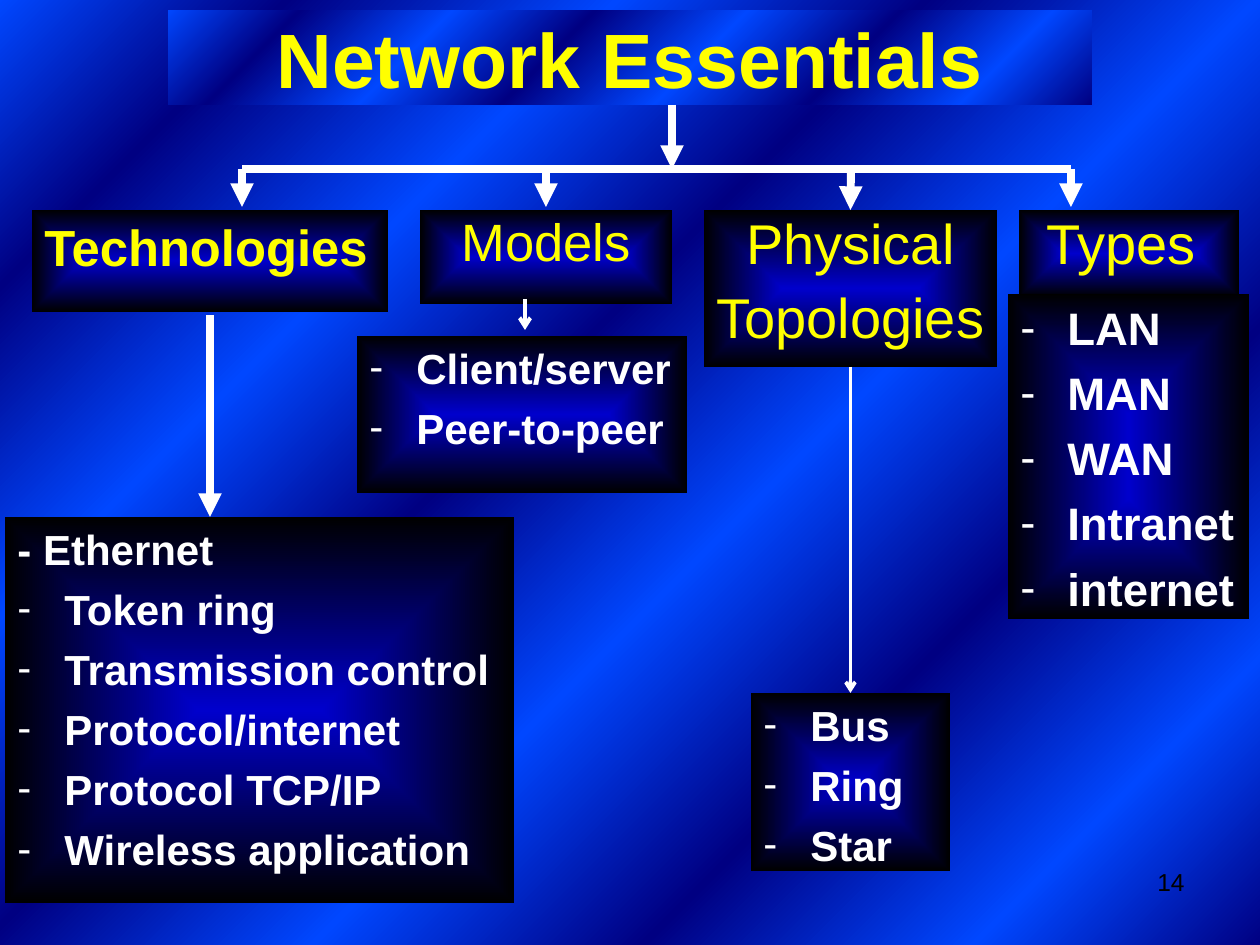
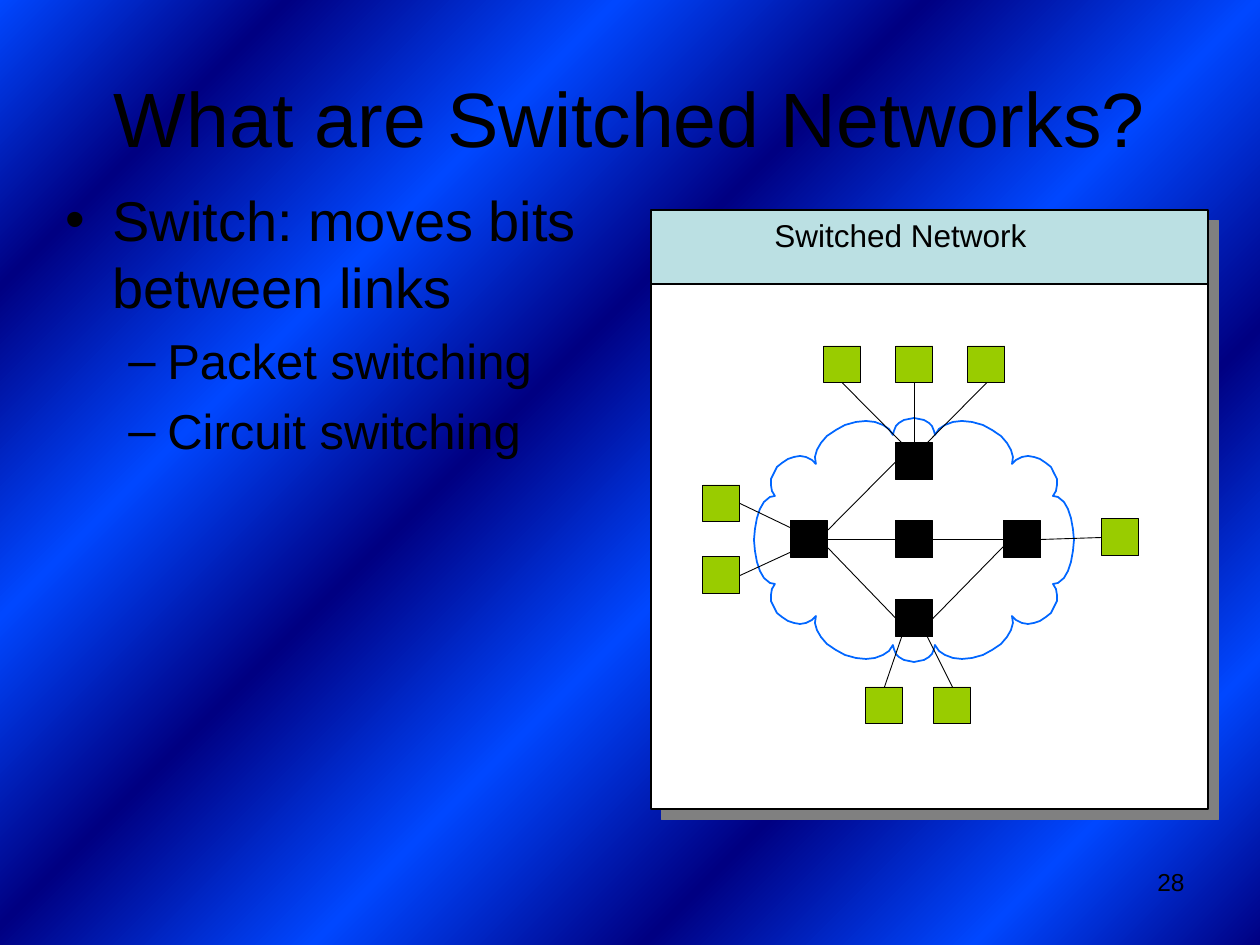
from math import cos, hypot, pi, sin

from lxml import etree
from pptx import Presentation
from pptx.dml.color import RGBColor
from pptx.enum.shapes import MSO_CONNECTOR, MSO_SHAPE
from pptx.enum.text import MSO_ANCHOR, MSO_AUTO_SIZE, PP_ALIGN
from pptx.oxml.ns import qn
from pptx.util import Inches, Pt

PX = 7257  # EMU per px, at 126 px to the inch
FONT = "Arial"
COLOURS = {
    "navy": "000082", "azure": "0047FF", "glow": "0000CC", "black": "000000",
    "white": "FFFFFF", "yellow": "FFFF00", "header": "BBE0E3", "host": "99CC00",
    "cloud": "0066FF", "shadow": "808080",
}
RGB = {name: RGBColor.from_string(value) for name, value in COLOURS.items()}

WAVES = list(zip((0, 13, 28, 43, 58, 72, 87, 100), ("navy", "azure") * 4))
GLOW = [(0, "glow"), (100, "black")]


def write(frame, lines, size, colour="black", bold=False, align=PP_ALIGN.LEFT,
          bullet=None, margin=47, hang=47, level=0, spacing=None):
    """Append lines to a frame; a line that already shows its bullet gets none."""
    for line in lines:
        first = not frame.text
        paragraph = frame.paragraphs[0] if first else frame.add_paragraph()
        if bullet:
            props = paragraph._p.get_or_add_pPr()
            props.set("marL", str(margin * PX))
            props.set("indent", str(-hang * PX))
            if not line.startswith(bullet):
                etree.SubElement(props, qn("a:buFont"), typeface=FONT)
                etree.SubElement(props, qn("a:buChar"), char=bullet)
        paragraph.level = level
        paragraph.alignment = align
        paragraph.space_before = Pt(0 if first else round(size * 0.23, 1))
        if spacing:
            paragraph.line_spacing = spacing
        run = paragraph.add_run()
        run.text = line
        run.font.name = FONT
        run.font.size = Pt(size)
        run.font.bold = bold
        run.font.color.rgb = RGB[colour]


def pour_gradient(owner, fill, stops, shape, focus):
    """Fill owner with a path gradient that starts from the focus rectangle."""
    fill.solid()
    solid = owner.find(".//" + qn("a:solidFill"))
    gradient = etree.Element(qn("a:gradFill"), rotWithShape="1")
    stop_list = etree.SubElement(gradient, qn("a:gsLst"))
    for position, colour in stops:
        stop = etree.SubElement(stop_list, qn("a:gs"), pos=str(position * 1000))
        etree.SubElement(stop, qn("a:srgbClr"), val=COLOURS[colour])
    route = etree.SubElement(gradient, qn("a:path"), path=shape)
    edges = {side: str(share * 1000) for side, share in zip("ltrb", focus)}
    etree.SubElement(route, qn("a:fillToRect"), **edges)
    solid.getparent().replace(solid, gradient)


# Shared by both slides: background, title, page number
prs = Presentation()
prs.slide_width, prs.slide_height = Inches(10), Inches(7.5)
master = prs.slide_master
pour_gradient(master.element, master.background.fill, WAVES, "circle", (100, 100, 0, 0))

slides = []
for heading, place, colour, bold, page in [
    ("Network Essentials", (168, 10, 924, 95), "yellow", True, "14"),
    ("What are Switched Networks?", (63, 38, 1134, 157), "black", False, "28"),
]:
    slide = prs.slides.add_slide(prs.slide_layouts[5])
    slides.append(slide)
    title = slide.shapes.title
    title.left, title.top, title.width, title.height = [v * PX for v in place]
    title.text_frame.auto_size = MSO_AUTO_SIZE.NONE
    title.text_frame.vertical_anchor = MSO_ANCHOR.MIDDLE
    write(title.text_frame, [heading], 44, colour, bold, PP_ALIGN.CENTER)
    number = slide.shapes.add_textbox(*[v * PX for v in (903, 861, 294, 66)])
    number.text_frame.word_wrap = True
    write(number.text_frame, [page], 14, align=PP_ALIGN.RIGHT)
essentials, switched = slides

# Slide 1: topic boxes and their lists
banner = essentials.shapes.title
pour_gradient(banner._element, banner.fill, WAVES, "circle", (100, 100, 0, 0))

heading_style = dict(colour="yellow", align=PP_ALIGN.CENTER, spacing=0.9)
list_style = dict(colour="white", bold=True, bullet="-")
topics = {}
for topic, place, lines, size, style in [
    ("technologies", (32, 210, 356, 102), ["Technologies"], 29,
     dict(colour="yellow", bold=True)),
    ("models", (420, 210, 252, 94), ["Models"], 30, heading_style),
    ("types", (1019, 210, 220, 87), ["Types "], 32, heading_style),
    ("topologies", (704, 210, 293, 157), ["Physical", "Topologies "], 32, heading_style),
    ("technology list", (5, 517, 509, 386),
     ["- Ethernet", "Token ring", "Transmission control", "Protocol/internet",
      "Protocol TCP/IP", "Wireless application"], 24, list_style),
    ("model list", (357, 336, 330, 157), ["Client/server", "Peer-to-peer"], 24, list_style),
    ("type list", (1008, 294, 241, 325),
     ["LAN", "MAN", "WAN", "Intranet", "internet"], 26, list_style),
    ("topology list", (751, 693, 199, 178), ["Bus", "Ring", "Star"], 24, list_style),
]:
    box = essentials.shapes.add_shape(MSO_SHAPE.RECTANGLE, *[v * PX for v in place])
    box.shadow.inherit = False
    box.line.fill.background()
    pour_gradient(box._element, box.fill, GLOW, "shape", (50, 50, 50, 50))
    box.text_frame.vertical_anchor = MSO_ANCHOR.TOP
    box.text_frame.word_wrap = True
    write(box.text_frame, lines, size, **style)
    topics[topic] = box

# Slide 2: bullet text and the panel
body = switched.shapes.add_textbox(*[v * PX for v in (53, 179, 577, 672)]).text_frame
body.word_wrap = True
write(body, ["Switch: moves bits between links"], 32, bullet="•")
write(body, ["Packet switching", "Circuit switching"], 28,
      bullet="–", margin=102, hang=39, level=1)

for top, colour in [(210, "header"), (284, "white")]:
    panel = switched.shapes.add_shape(
        MSO_SHAPE.RECTANGLE, 651 * PX, top * PX, 557 * PX, 525 * PX)
    panel.fill.solid()
    panel.fill.fore_color.rgb = RGB[colour]
    panel.line.color.rgb = RGB["black"]
    panel.line.width = Pt(0.75)
    panel.shadow.inherit = False
    effects = panel._element.spPr.find(qn("a:effectLst"))
    drop = etree.SubElement(effects, qn("a:outerShdw"), dist=str(Pt(8.5)),
                            dir=str(45 * 60000), algn="ctr", rotWithShape="0")
    etree.SubElement(drop, qn("a:srgbClr"), val=COLOURS["shadow"])

caption = switched.shapes.add_textbox(*[v * PX for v in (762, 210, 362, 63)]).text_frame
caption.word_wrap = False
caption.auto_size = MSO_AUTO_SIZE.SHAPE_TO_FIT_TEXT
write(caption, ["Switched Network"], 18)

# Cloud outline: half-ellipse lobes of one quarter, mirrored about the centre
CLOUD_X, CLOUD_Y = 914, 540
STEPS = 12
cusps = [(-21, -105), (21, -105), (98, -76), (139, -44), (139, 44)]
bulges = [17, 26, 22, 21]
quarter_points = []
for (x1, y1), (x2, y2), bulge in zip(cusps, cusps[1:], bulges):
    dx, dy = x2 - x1, y2 - y1
    chord = hypot(dx, dy)
    for step in range(STEPS + 1):
        along = -cos(pi * step / STEPS) / 2
        out = bulge * sin(pi * step / STEPS) / chord
        quarter_points.append(((x1 + x2) / 2 + along * dx + out * dy,
                               (y1 + y2) / 2 + along * dy - out * dx))
# The first and last lobes are shared with the neighbouring quarters
quarter_points = quarter_points[STEPS // 2:-(STEPS // 2)]
for flip_x, flip_y in [(1, -1), (1, 1), (-1, 1), (-1, -1)]:
    start, *rest = [(CLOUD_X + flip_x * x, CLOUD_Y + flip_y * y) for x, y in quarter_points]
    outline = switched.shapes.build_freeform(*start, scale=PX)
    outline.add_line_segments(rest, close=False)
    quarter = outline.convert_to_shape()
    quarter.shadow.inherit = False
    quarter.fill.background()
    quarter.line.color.rgb = RGB["cloud"]
    quarter.line.width = Pt(1)

# Hosts outside the cloud, switches inside it
NODE = 37
nodes = {}
for name, left, top, colour in [
    ("host N1", 824, 346, "host"), ("host N2", 896, 346, "host"),
    ("host N3", 968, 346, "host"), ("host W1", 703, 485, "host"),
    ("host W2", 703, 557, "host"), ("host S1", 866, 687, "host"),
    ("host S2", 934, 687, "host"), ("host E", 1102, 519, "host"),
    ("north", 896, 443, "black"), ("west", 791, 521, "black"),
    ("centre", 896, 521, "black"), ("east", 1004, 521, "black"),
    ("south", 896, 600, "black"),
]:
    node = switched.shapes.add_shape(
        MSO_SHAPE.RECTANGLE, left * PX, top * PX, NODE * PX, NODE * PX)
    node.shadow.inherit = False
    node.fill.solid()
    node.fill.fore_color.rgb = RGB[colour]
    node.line.color.rgb = RGB["black"]
    node.line.width = Pt(0.5)
    nodes[name] = node

# Lines of both slides; an end is a point or a (name, side) joint
TOP, LEFT, BOTTOM, RIGHT = range(4)
BAR = 169
tree_lines = [
    ((242, BAR), (1071, BAR), 4.5, None),
    *[((x, BAR), (x, 207), 4.5, "triangle") for x in (242, 546, 1071)],
    ((672, 105), (672, BAR), 4.5, "triangle"),
    ((851, 171), ("topologies", TOP), 4.5, "triangle"),
    ((210, 315), (210, 517), 4.5, "triangle"),
    ((525, 299), (525, 330), 2.25, "arrow"),
    (("topologies", BOTTOM), ("topology list", TOP), 2, "arrow"),
]
network_lines = [(begin, end, 0.5, None) for begin, end in [
    (("host N1", BOTTOM), (902, 443)),
    (("host N2", BOTTOM), ("north", TOP)),
    (("host N3", BOTTOM), (927, 443)),
    (("north", LEFT), (828, 530)),
    (("west", RIGHT), ("centre", LEFT)),
    (("centre", RIGHT), ("east", LEFT)),
    ((1004, 546), ("south", RIGHT)),
    ((828, 548), ("south", LEFT)),
    (("host S1", TOP), (902, 636)),
    (("host S2", TOP), (927, 636)),
    (("host W1", RIGHT), (791, 528)),
    (("host W2", RIGHT), (791, 552)),
    (("east", RIGHT), ("host E", LEFT)),
]]
for slide, joints, colour, lines in [
    (essentials, topics, "white", tree_lines),
    (switched, nodes, "black", network_lines),
]:
    for begin, end, width, head in lines:
        link = slide.shapes.add_connector(MSO_CONNECTOR.STRAIGHT, 0, 0, 0, 0)
        if begin[0] in joints:
            link.begin_connect(joints[begin[0]], begin[1])
        else:
            link.begin_x, link.begin_y = [v * PX for v in begin]
        if end[0] in joints:
            link.end_connect(joints[end[0]], end[1])
        else:
            link.end_x, link.end_y = [v * PX for v in end]
        link.line.color.rgb = RGB[colour]
        link.line.width = Pt(width)
        if head:
            etree.SubElement(link.line._get_or_add_ln(), qn("a:tailEnd"), type=head)
        etree.SubElement(link._element.spPr, qn("a:effectLst"))

prs.save("out.pptx")
